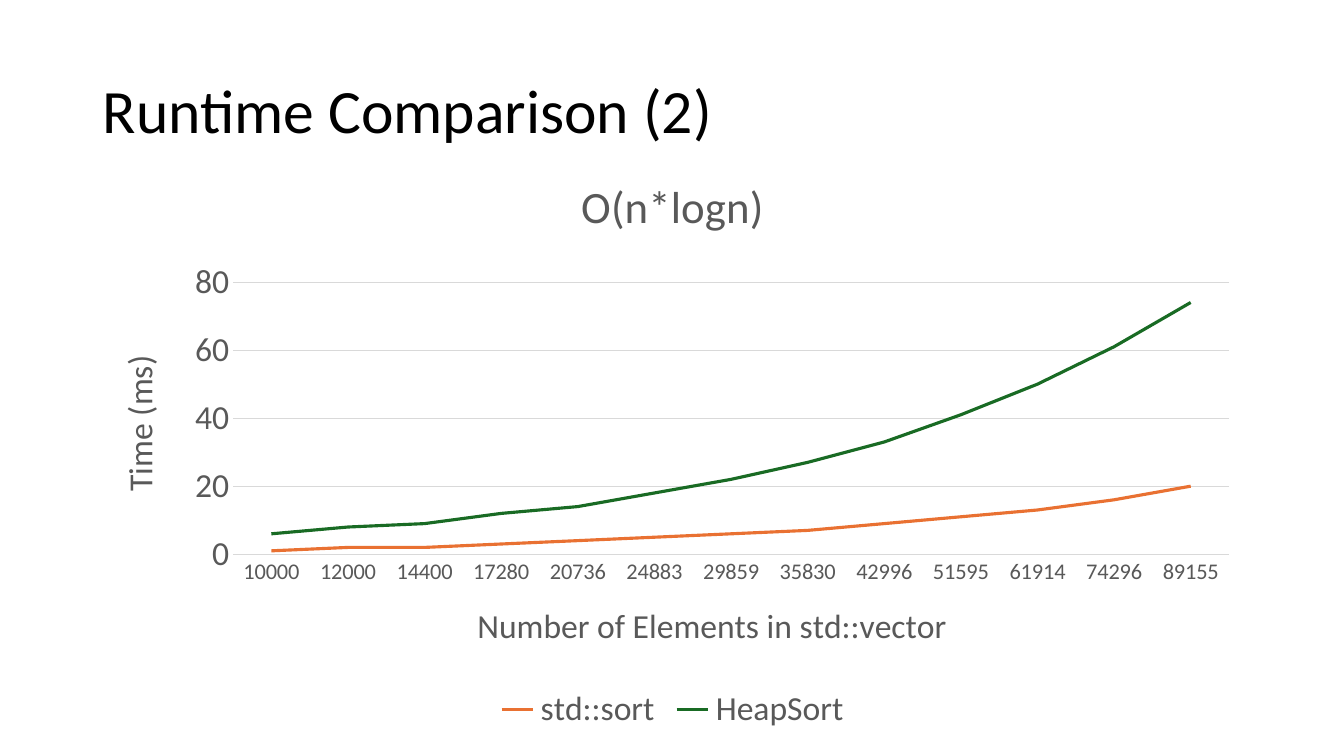
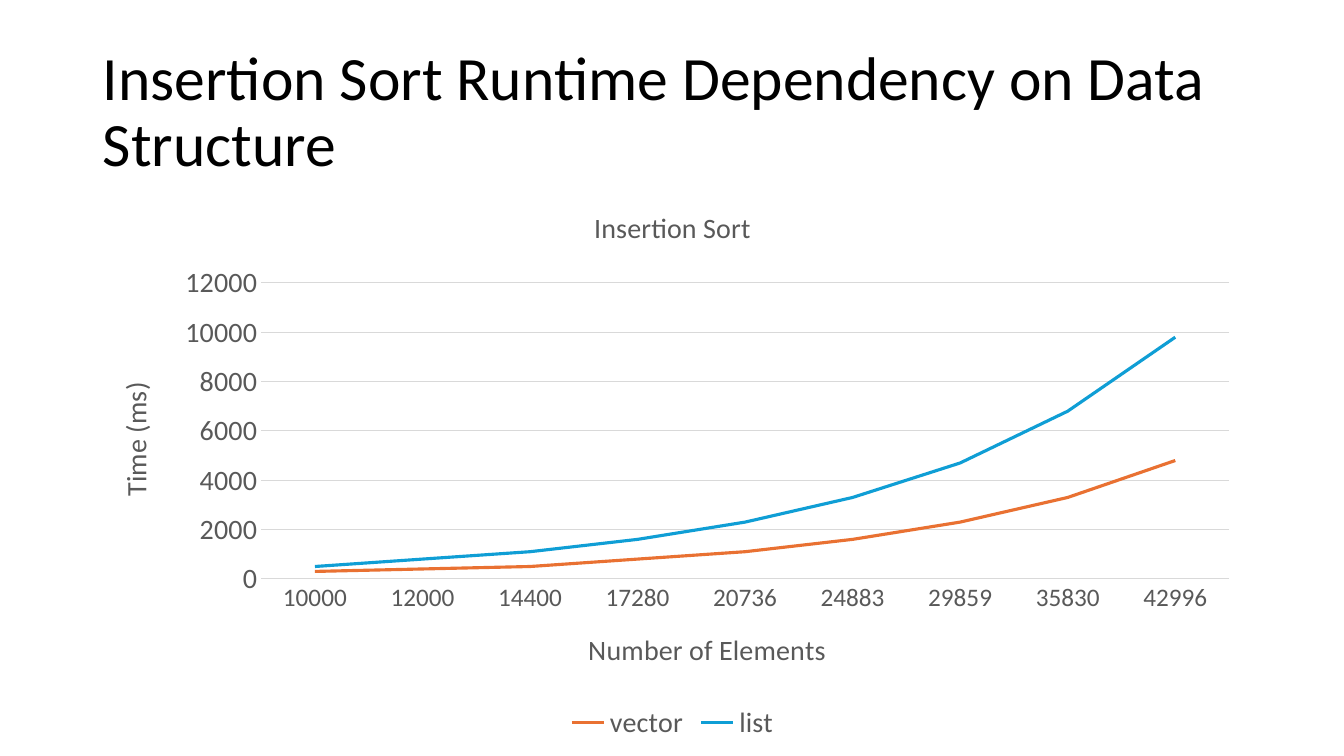
from pptx import Presentation
from pptx.chart.data import CategoryChartData
from pptx.dml.color import RGBColor
from pptx.enum.chart import XL_CHART_TYPE as ChartType
from pptx.enum.chart import XL_LEGEND_POSITION as LegendPosition
from pptx.enum.chart import XL_MARKER_STYLE as MarkerStyle
from pptx.enum.chart import XL_TICK_MARK as TickMark
from pptx.enum.text import MSO_ANCHOR as Anchor
from pptx.util import Inches, Pt

COLORS = {
    "background": "FFFFFF",
    "title": "000000",
    "chart_text": "595959",
    "grid": "D9D9D9",
    "orange": "E97132",
    "green": "196B24",
    "blue": "0F9ED5",
}
FONT = "Calibri"
LEFT, WIDTH = 0.92, 11.5
ELEMENT_COUNTS = [
    "10000", "12000", "14400", "17280", "20736", "24883", "29859",
    "35830", "42996", "51595", "61914", "74296", "89155",
]


def rgb(name):
    return RGBColor.from_string(COLORS[name])


class Deck:
    def __init__(self):
        self.presentation = Presentation()
        self.presentation.slide_width = Inches(13.33)
        self.presentation.slide_height = Inches(7.5)
        background = self.presentation.slide_master.background.fill
        background.solid()
        background.fore_color.rgb = rgb("background")
        self.slide = None

    def set_font(self, font, size, color="chart_text"):
        font.name = FONT
        font.size = Pt(size)
        font.bold = False
        font.color.rgb = rgb(color)

    def set_line(self, line, color, width):
        line.color.rgb = rgb(color)
        line.width = Pt(width)

    def add_run(self, paragraph, text, size, color="chart_text"):
        run = paragraph.add_run()
        run.text = text
        self.set_font(run.font, size, color)

    def add_slide(self, title):
        title_only = self.presentation.slide_layouts[5]
        self.slide = self.presentation.slides.add_slide(title_only)
        shape = self.slide.shapes.title
        shape.left, shape.top = Inches(LEFT), Inches(0.4)
        shape.width, shape.height = Inches(WIDTH), Inches(1.45)
        frame = shape.text_frame
        frame.word_wrap = True
        frame.vertical_anchor = Anchor.MIDDLE
        paragraph = frame.paragraphs[0]
        paragraph.alignment = 1
        paragraph.line_spacing = 0.9
        self.add_run(paragraph, title, 44, "title")

    def add_chart_title(self, owner, text, size):
        """Title a chart or an axis."""
        title = owner.chart_title if hasattr(owner, "chart_title") else owner.axis_title
        self.add_run(title.text_frame.paragraphs[0], text, size)

    def style_axis(self, axis, title, title_size, label_size):
        self.add_chart_title(axis, title, title_size)
        axis.major_tick_mark = axis.minor_tick_mark = TickMark.NONE
        self.set_font(axis.tick_labels.font, label_size)

    def add_line_chart(self, top, height, title, title_size, category_title,
                       text_size, category_size, series):
        """Draw series given as (name, color, values) over the element counts."""
        data = CategoryChartData()
        data.categories = ELEMENT_COUNTS[:len(series[0][2])]
        for name, _, values in series:
            data.add_series(name, values)
        chart = self.slide.shapes.add_chart(
            ChartType.LINE, Inches(LEFT), Inches(top), Inches(WIDTH),
            Inches(height), data).chart
        self.set_font(chart.font, 10, "title")
        self.add_chart_title(chart, title, title_size)
        chart.chart_title.include_in_layout = False

        self.style_axis(chart.category_axis, category_title, text_size, category_size)
        self.set_line(chart.category_axis.format.line, "grid", 0.75)
        self.style_axis(chart.value_axis, "Time (ms)", text_size, text_size)
        chart.value_axis.format.line.fill.background()
        self.set_line(chart.value_axis.major_gridlines.format.line, "grid", 0.75)

        chart.has_legend = True
        chart.legend.position = LegendPosition.BOTTOM
        chart.legend.include_in_layout = False
        self.set_font(chart.legend.font, text_size)

        plot = chart.plots[0]
        plot.vary_by_categories = False
        for line, (_, color, _) in zip(plot.series, series):
            line.smooth = False
            line.marker.style = MarkerStyle.NONE
            self.set_line(line.format.line, color, 2.25)


def main():
    deck = Deck()

    deck.add_slide("Runtime Comparison (2)")
    deck.add_line_chart(
        top=1.49, height=5.82, title="O(n*logn)", title_size=32,
        category_title="Number of Elements in std::vector",
        text_size=24, category_size=16,
        series=[
            ("std::sort", "orange", [1, 2, 2, 3, 4, 5, 6, 7, 9, 11, 13, 16, 20]),
            ("HeapSort", "green", [6, 8, 9, 12, 14, 18, 22, 27, 33, 41, 50, 61, 74]),
        ])

    deck.add_slide("Insertion Sort Runtime Dependency on Data Structure")
    deck.add_line_chart(
        top=1.85, height=5.55, title="Insertion Sort", title_size=20,
        category_title="Number of Elements",
        text_size=20, category_size=18,
        series=[
            ("vector", "orange", [300, 400, 500, 800, 1100, 1600, 2300, 3300, 4800]),
            ("list", "blue", [500, 800, 1100, 1600, 2300, 3300, 4700, 6800, 9800]),
        ])

    deck.presentation.save("out.pptx")


if __name__ == "__main__":
    main()
